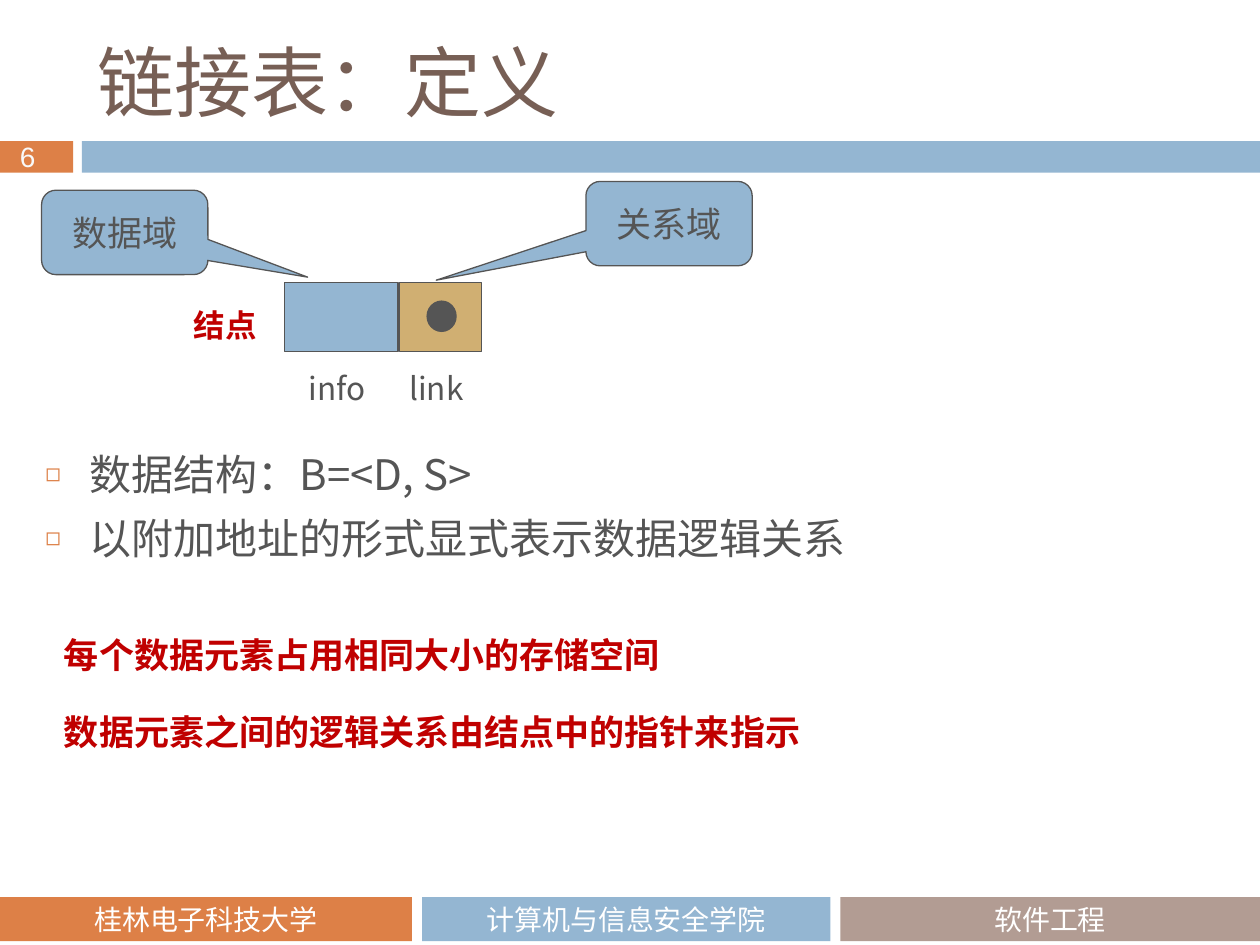
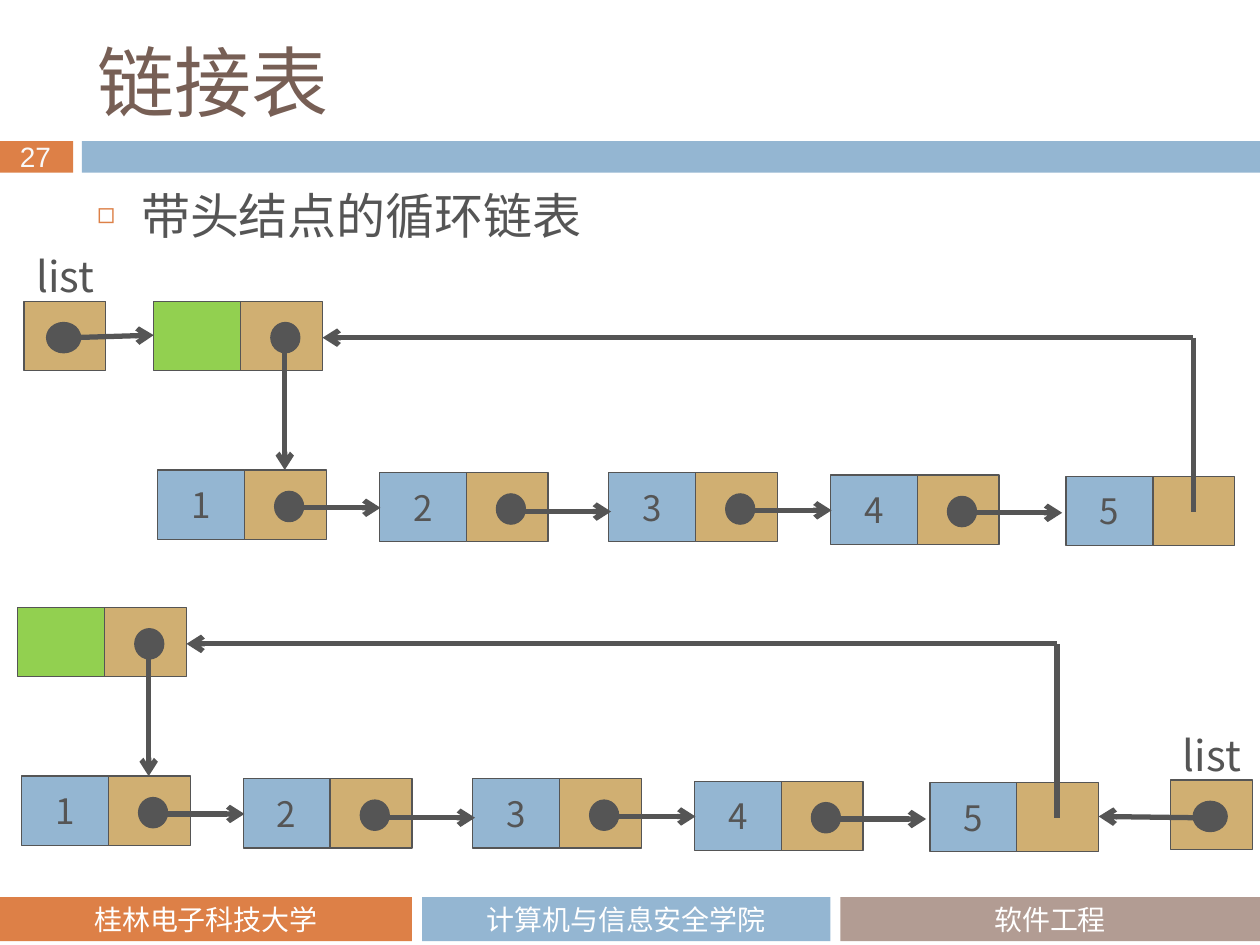
import lxml.etree
import pptx
import pptx.dml.color
import pptx.enum.shapes
import pptx.enum.text
import pptx.oxml.ns
import pptx.util

Inches = pptx.util.Inches
Pt = pptx.util.Pt
qn = pptx.oxml.ns.qn
color = pptx.dml.color.RGBColor.from_string
PRESET = pptx.enum.shapes.MSO_SHAPE
ALIGN = pptx.enum.text.PP_ALIGN
ANCHOR = pptx.enum.text.MSO_ANCHOR
FIT = pptx.enum.text.MSO_AUTO_SIZE

ORANGE, BLUE, TAUPE = "DD8047", "94B6D2", "B29C93"
GOLD, GREEN, INK, RED, PALE = "D0AF72", "92D050", "555555", "C00000", "F9F9F9"
CJK = "Noto Sans CJK SC"

TITLE = {"name": "Noto Sans CJK JP", "size": Pt(44), "color": "775F55"}
FOOTER = {"name": "Calibri", "size": Pt(16), "color": "FFFFFF"}
NUMBER = {"name": "Arial", "size": Pt(16), "color": PALE}
VALUE = {"name": CJK, "size": Pt(20), "color": INK}
FIELD = VALUE | {"size": Pt(18)}
POINT = VALUE | {"size": Pt(24)}
TOPIC = VALUE | {"size": Pt(28)}
REMARK = VALUE | {"color": RED, "bold": True}
NODE_NAME = REMARK | {"size": Pt(18)}


def write(shape, lines, style, align=ALIGN.LEFT, anchor=ANCHOR.TOP, gap=0):
    frame = shape.text_frame
    frame.word_wrap = True
    frame.auto_size = FIT.NONE
    frame.vertical_anchor = anchor
    for order, line in enumerate(lines):
        paragraph = frame.add_paragraph() if order else frame.paragraphs[0]
        paragraph.alignment = align
        paragraph.space_before = Pt(gap if order else 0)
        run = paragraph.add_run()
        run.text = line
        for key, setting in style.items():
            if key == "color":
                run.font.color.rgb = color(setting)
            else:
                setattr(run.font, key, setting)
        east_asian = style["name"] if "CJK" in style["name"] else CJK
        lxml.etree.SubElement(run._r.get_or_add_rPr(), qn("a:ea"), typeface=east_asian)


def block(slide, preset, at, fill, outline=INK):
    shape = slide.shapes.add_shape(preset, *map(Inches, at))
    shape.shadow.inherit = False
    shape.fill.solid()
    shape.fill.fore_color.rgb = color(fill)
    if outline:
        shape.line.color.rgb = color(outline)
        shape.line.width = Pt(0.75)
    else:
        shape.line.fill.background()
    return shape


deck = pptx.Presentation()
deck.slide_width, deck.slide_height = Inches(10), Inches(7.5)

bands = [
    ((0, 1.12, 0.58, 0.25), ORANGE, None),
    ((0.65, 1.12, 9.35, 0.25), BLUE, None),
    ((0, 7.12, 3.27, 0.35), ORANGE, "桂林电子科技大学"),
    ((3.35, 7.12, 3.24, 0.35), BLUE, "计算机与信息安全学院"),
    ((6.67, 7.12, 3.33, 0.35), TAUPE, "软件工程"),
]
pages = [
    ("6", "链接表：定义", (0.26, 3.49, 7.1, 1.23), POINT,
     ["数据结构：B=<D, S>", "以附加地址的形式显式表示数据逻辑关系"]),
    ("27", "链接表", (0.67, 1.47, 8.92, 0.61), TOPIC, ["带头结点的循环链表"]),
]
labels = []
for number, heading, body_at, body_style, points in pages:
    slide = deck.slides.add_slide(deck.slide_layouts[1])
    for at, fill, footer in bands:
        band = block(slide, PRESET.RECTANGLE, at, fill, None)
        if footer:
            write(band, [footer], FOOTER, ALIGN.CENTER, ANCHOR.MIDDLE)
    labels.append((slide, (0.06, 1.06, 0.48, 0.37), number, NUMBER))

    title, body = slide.placeholders
    for holder, at in ((title, (0.67, 0.25, 8.92, 0.78)), (body, body_at)):
        holder.left, holder.top, holder.width, holder.height = map(Inches, at)
    write(title, [heading], TITLE, anchor=ANCHOR.MIDDLE)
    write(body, points, body_style, gap=7)
    for paragraph in body.text_frame.paragraphs:
        paragraph.line_spacing = Pt(30)
        properties = paragraph._p.get_or_add_pPr()
        properties.set("marL", str(Inches(0.35)))
        properties.set("indent", str(Inches(-0.35)))
        bullet_color = lxml.etree.SubElement(properties, qn("a:buClr"))
        lxml.etree.SubElement(bullet_color, qn("a:srgbClr"), val=ORANGE)
        lxml.etree.SubElement(properties, qn("a:buSzPct"), val="60000")
        lxml.etree.SubElement(properties, qn("a:buChar"), char="◻")

definition, circular = deck.slides

block(definition, PRESET.RECTANGLE, (2.26, 2.24, 0.9, 0.55), BLUE)
block(definition, PRESET.RECTANGLE, (3.17, 2.24, 0.65, 0.55), GOLD)
block(definition, PRESET.OVAL, (3.39, 2.39, 0.23, 0.24), INK)
for left, top, domain, pointer in [
    (0.33, 1.51, "数据域", (1.1, 0.53, 0.17)),
    (4.65, 1.44, "关系域", (-1.4, 0.67, 0.17)),
]:
    callout = block(definition, PRESET.ROUNDED_RECTANGULAR_CALLOUT, (left, top, 1.32, 0.67), BLUE)
    for index, amount in enumerate(pointer):
        callout.adjustments[index] = amount
    write(callout, [domain], VALUE, ALIGN.CENTER, ANCHOR.MIDDLE)
labels += [
    (definition, (2.35, 2.88, 0.67, 0.4), "info", FIELD),
    (definition, (3.15, 2.88, 0.68, 0.4), "link", FIELD),
    (definition, (1.44, 2.38, 0.71, 0.4), "结点", NODE_NAME),
]
remarks = definition.shapes.add_textbox(*map(Inches, (0.41, 4.98, 7.63, 1.11)))
write(remarks, ["每个数据元素占用相同大小的存储空间", "数据元素之间的逻辑关系由结点中的指针来指示"],
      REMARK, gap=20)

nodes = [
    (1.22, 2.39, GREEN, ""),
    (1.25, 3.73, BLUE, "1"),
    (3.01, 3.75, BLUE, "2"),
    (4.83, 3.75, BLUE, "3"),
    (6.59, 3.77, BLUE, "4"),
    (8.46, 3.78, BLUE, "5"),
]
links = [
    (2.26, 2.8, 2.26, 3.73, True),
    (2.27, 4.03, 3.02, 4.03, True),
    (4.1, 4.06, 4.85, 4.06, True),
    (5.85, 4.05, 6.6, 4.05, True),
    (7.68, 4.07, 8.43, 4.07, True),
    (9.47, 2.68, 2.56, 2.68, True),
    (9.47, 2.68, 9.47, 4.06, False),
]
chains = [
    (0, 0, 0.19, 2.39, (0.57, 2.68, 1.22, 2.66, True)),
    (-1.08, 2.43, 9.29, 6.19, (9.48, 6.49, 8.72, 6.48, True)),
]
for shift_x, shift_y, list_x, list_y, entry in chains:
    for node_x, node_y, fill, value in nodes:
        x, y = node_x + shift_x, node_y + shift_y
        info = block(circular, PRESET.RECTANGLE, (x, y, 0.69, 0.55), fill)
        block(circular, PRESET.RECTANGLE, (x + 0.69, y, 0.65, 0.55), GOLD)
        if value:
            write(info, [value], VALUE, ALIGN.CENTER, ANCHOR.MIDDLE)
        if value != "5":
            block(circular, PRESET.OVAL, (x + 0.93, y + 0.17, 0.23, 0.24), INK)

    block(circular, PRESET.RECTANGLE, (list_x, list_y, 0.65, 0.55), GOLD)
    block(circular, PRESET.OVAL, (list_x + 0.18, list_y + 0.17, 0.27, 0.24), INK)
    labels.append((circular, (list_x, list_y - 0.45, 0.71, 0.5), "list", POINT))

    shifted = [(x1 + shift_x, y1 + shift_y, x2 + shift_x, y2 + shift_y, arrow)
               for x1, y1, x2, y2, arrow in links]
    for *ends, arrow in shifted + [entry]:
        link = circular.shapes.add_connector(
            pptx.enum.shapes.MSO_CONNECTOR.STRAIGHT, *map(Inches, ends))
        link.line.color.rgb = color(INK)
        link.line.width = Pt(3)
        if arrow:
            lxml.etree.SubElement(link.line._get_or_add_ln(), qn("a:tailEnd"), type="arrow")
        lxml.etree.SubElement(link._element.spPr, qn("a:effectLst"))

for slide, at, text, style in labels:
    label = slide.shapes.add_textbox(*map(Inches, at))
    write(label, [text], style)
    label.text_frame.word_wrap = False
    label.text_frame.auto_size = FIT.SHAPE_TO_FIT_TEXT

deck.save("out.pptx")
